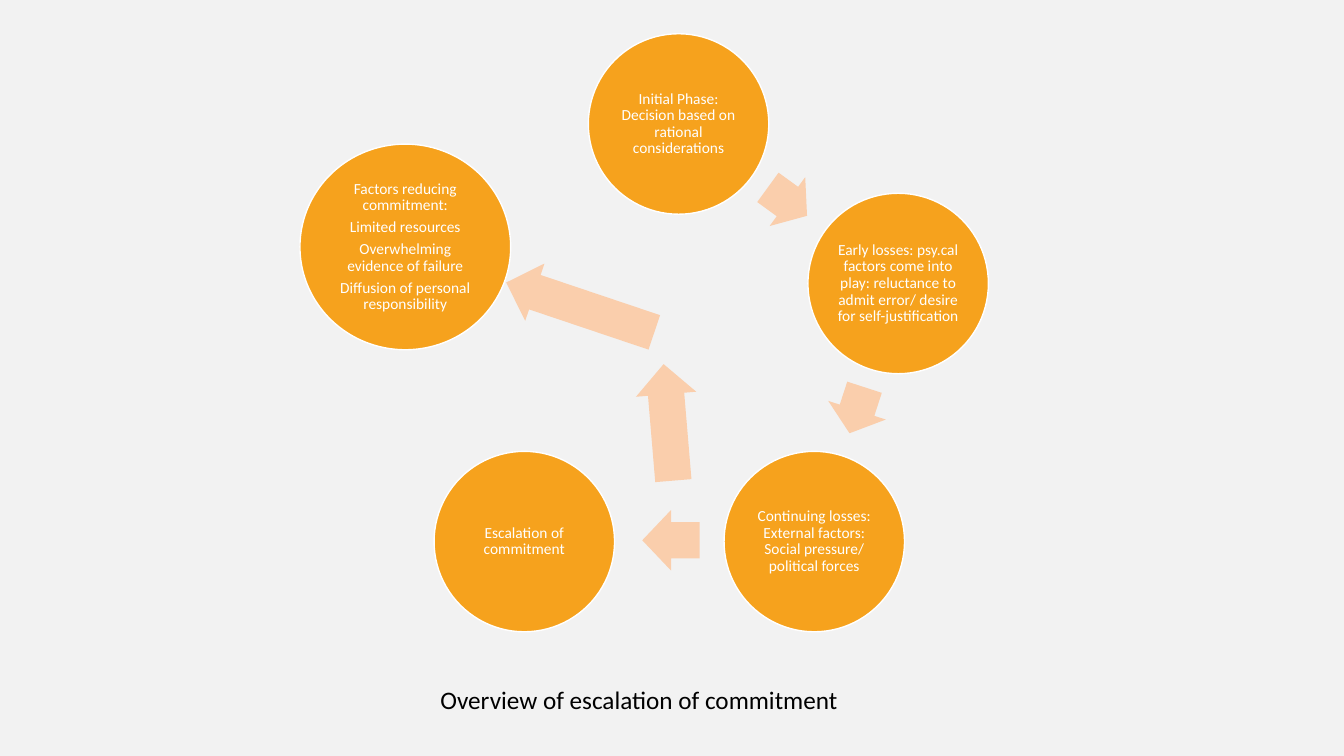
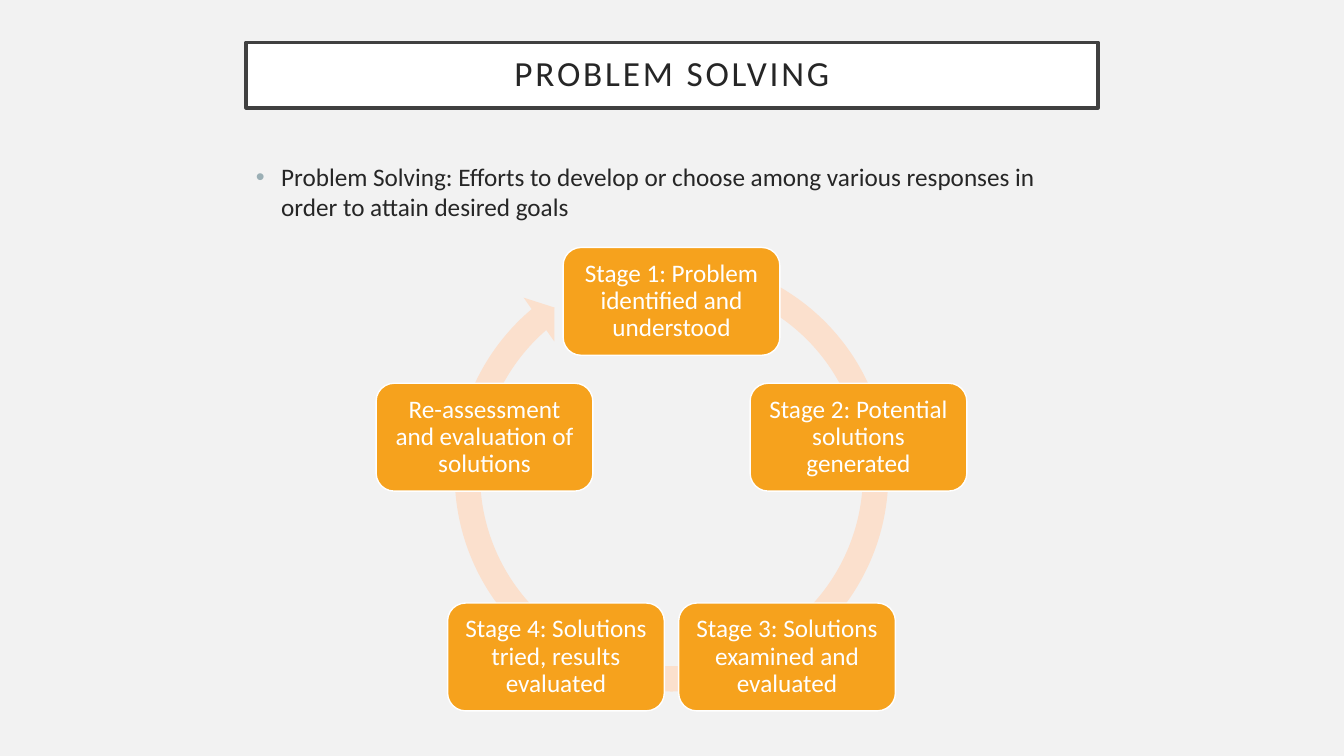
from dataclasses import dataclass
from math import cos, radians, sin

from lxml.etree import SubElement
from pptx import Presentation
from pptx.dml.color import RGBColor
from pptx.enum.shapes import MSO_SHAPE as Kind
from pptx.enum.text import MSO_ANCHOR as Anchor, PP_ALIGN as Align
from pptx.oxml.ns import qn
from pptx.util import Inches, Pt

# Shared look
FONT = "Calibri"
PAPER, WHITE, BLACK = "F2F2F2", "FFFFFF", "000000"
ORANGE, PEACH, PALE = "F6A21D", "FACEAC", "FBE0CD"
INK, FRAME, DOT = "262626", "404040", "9BAFB5"


@dataclass
class Node:
    x: float  # centre
    y: float
    wide: float
    high: float
    lines: list[str]


@dataclass
class Arrow:
    x: float  # left edge before turning
    y: float
    long: float
    turn: float


def tint(code: str) -> RGBColor:
    return RGBColor.from_string(code)


def ring(x: float, y: float, radius: float, count: int = 5) -> list[tuple[float, float]]:
    """Centres spread evenly on a circle, clockwise from the top."""
    turns = [radians(360 / count * i) for i in range(count)]
    return [(x + radius * sin(t), y - radius * cos(t)) for t in turns]


def add_shape(slide, kind, x: float, y: float, wide: float, high: float,
              fill: str, line: str = "", weight: float = 1):
    shape = slide.shapes.add_shape(kind, Inches(x), Inches(y), Inches(wide), Inches(high))
    shape.shadow.inherit = False
    shape.fill.solid()
    shape.fill.fore_color.rgb = tint(fill)
    if line:
        shape.line.color.rgb = tint(line)
        shape.line.width = Pt(weight)
    else:
        shape.line.fill.background()
    return shape


def write(shape, lines: list[str], size: float, color: str, pad: float,
          align=Align.CENTER, lead: float = 0.9, after: float = 0):
    frame = shape.text_frame
    frame.word_wrap = True
    frame.vertical_anchor = Anchor.MIDDLE
    frame.margin_left = frame.margin_right = Inches(pad)
    frame.margin_top = frame.margin_bottom = Inches(pad)
    frame.text = "\n".join(lines)
    for para in frame.paragraphs:
        para.alignment = align
        para.line_spacing = lead
        para.space_after = Pt(after)
        para.font.name = FONT
        para.font.size = Pt(size)
        para.font.color.rgb = tint(color)
    return frame.paragraphs[0]


def add_text(slide, text: str, x: float, y: float, wide: float, high: float, color: str):
    box = slide.shapes.add_textbox(Inches(x), Inches(y), Inches(wide), Inches(high))
    para = write(box, [text], 18, color, 0.1, Align.LEFT, 1)
    box.text_frame.margin_top = box.text_frame.margin_bottom = Inches(0.05)
    box.text_frame.vertical_anchor = Anchor.TOP
    return para


def add_node(slide, kind, node: Node, size: float, pad: float) -> None:
    shape = add_shape(slide, kind, node.x - node.wide / 2, node.y - node.high / 2,
                      node.wide, node.high, ORANGE, WHITE)
    write(shape, node.lines, size, WHITE, pad, after=size * 0.35)


def add_arrow(slide, arrow: Arrow) -> None:
    shape = add_shape(slide, Kind.RIGHT_ARROW, arrow.x, arrow.y, arrow.long, 0.6, PEACH)
    shape.adjustments[0] = 0.6
    shape.rotation = arrow.turn


def add_title(slide, text: str) -> None:
    box = add_shape(slide, Kind.RECTANGLE, 2.44, 0.42, 8.45, 0.65, WHITE, FRAME, 2.5)
    para = write(box, [text], 25.2, INK, 0.2)
    para.runs[0].font._element.set("spc", "200")


def add_bullet(para) -> None:
    para.space_before = Pt(10)
    props = para._p.get_or_add_pPr()
    props.set("marL", str(Inches(0.25)))
    props.set("indent", str(-Inches(0.25)))
    mark = SubElement(props, qn("a:buClr"))
    SubElement(mark, qn("a:srgbClr"), val=DOT)
    SubElement(props, qn("a:buFont"), typeface="Arial")
    SubElement(props, qn("a:buChar"), char="•")
    # The bullet must come before default run properties
    props.append(props.find(qn("a:defRPr")))


# Slide 1: escalation of commitment
PHASES = [
    "Initial Phase: Decision based on rational considerations",
    "Early losses: psy.cal factors come into play: reluctance to admit error/ "
    "desire for self-justification",
    "Continuing losses: External factors: Social pressure/ political forces",
]
FACTORS = [
    "Factors reducing commitment:",
    "Limited resources",
    "Overwhelming evidence of failure",
    "Diffusion of personal responsibility",
]
ARROWS = [
    Arrow(7.57, 1.7, 0.48, 36),
    Arrow(8.26, 3.77, 0.48, 108),
    Arrow(6.37, 5.06, 0.57, 180),
    Arrow(4.98, 2.75, 1.55, 198.6),
    Arrow(6.05, 3.89, 1.16, 265.2),
]


def draw_cycle(slide) -> None:
    side = 1.79
    nodes = [Node(x, y, side, side, [text])
             for (x, y), text in zip(ring(6.73, 3.52, 2.29), PHASES)]
    nodes.append(Node(5.2, nodes[-1].y, side, side, ["Escalation of commitment"]))
    nodes.append(Node(4.02, 2.45, 2.09, 2.04, FACTORS))
    for arrow in ARROWS:
        add_arrow(slide, arrow)
    for node in nodes:
        add_node(slide, Kind.OVAL, node, 11, 0.02)
    add_text(slide, "Overview of escalation of commitment", 4.27, 6.74, 4.2, 0.4, BLACK)


# Slide 2: problem solving
STAGES = [
    "Stage 1: Problem identified and understood",
    "Stage 2: Potential solutions generated",
    "Stage 3: Solutions examined and evaluated",
    "Stage 4: Solutions tried, results evaluated",
    "Re-assessment and evaluation of solutions",
]
BEND = (0.055, 3.307, 137.707, 173.891, 0.058)


def draw_stages(slide) -> None:
    add_title(slide, "PROBLEM SOLVING")
    add_bullet(add_text(
        slide, "Problem Solving: Efforts to develop or choose among various responses "
        "in order to attain desired goals", 2.44, 1.55, 8.45, 0.8, INK))
    loop = add_shape(slide, Kind.CIRCULAR_ARROW, 4.37, 2.42, 4.58, 4.58, PALE)
    for i, value in enumerate(BEND):
        loop.adjustments[i] = value
    for (x, y), text in zip(ring(6.66, 4.94, 1.95), STAGES):
        add_node(slide, Kind.ROUNDED_RECTANGLE, Node(x, y, 2.15, 1.07, [text]), 18, 0.07)


def main() -> None:
    deck = Presentation()
    deck.slide_width, deck.slide_height = Inches(13.33), Inches(7.5)
    back = deck.slide_master.background.fill
    back.solid()
    back.fore_color.rgb = tint(PAPER)
    for draw in (draw_cycle, draw_stages):
        draw(deck.slides.add_slide(deck.slide_layouts[6]))
    deck.save("out.pptx")


if __name__ == "__main__":
    main()
